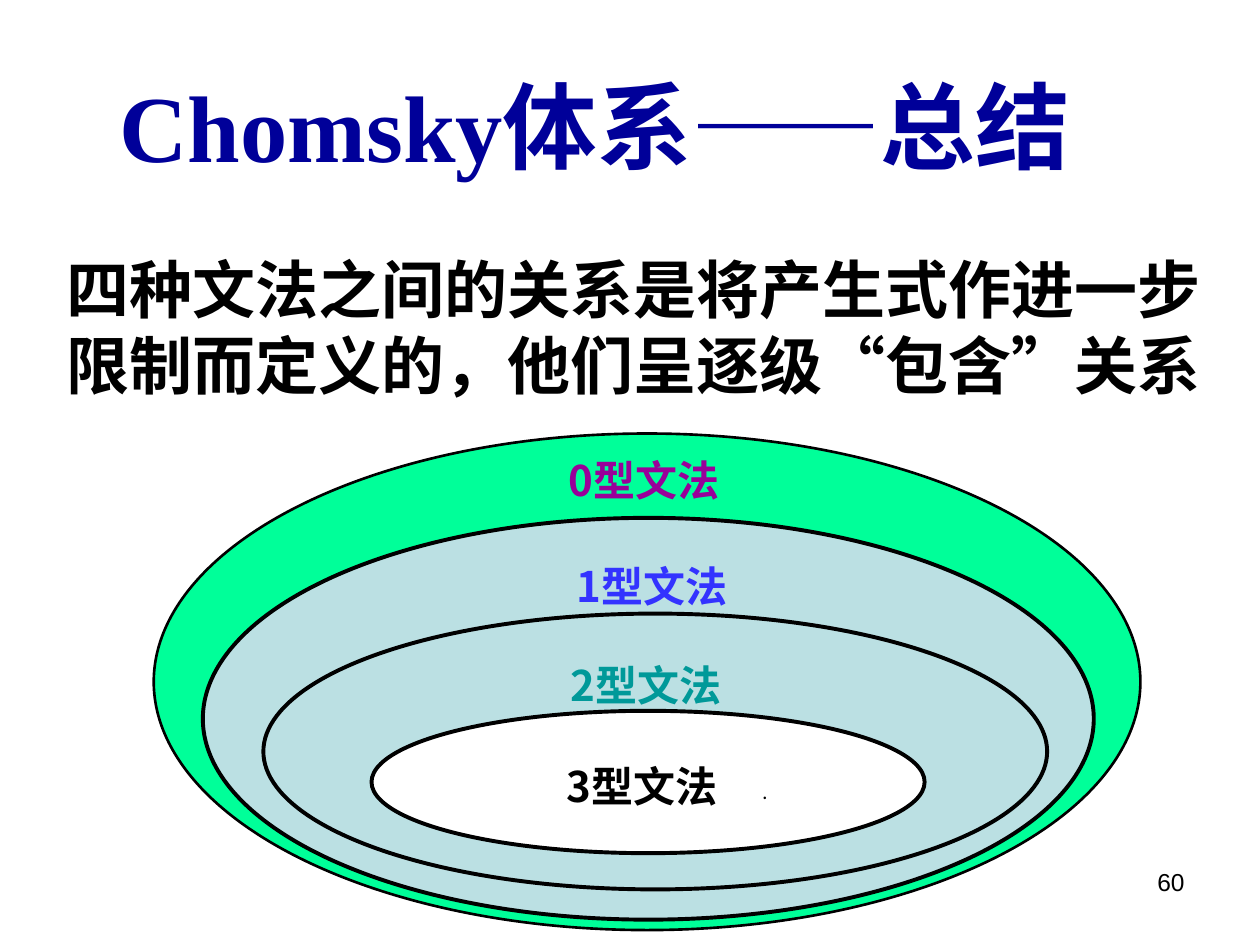
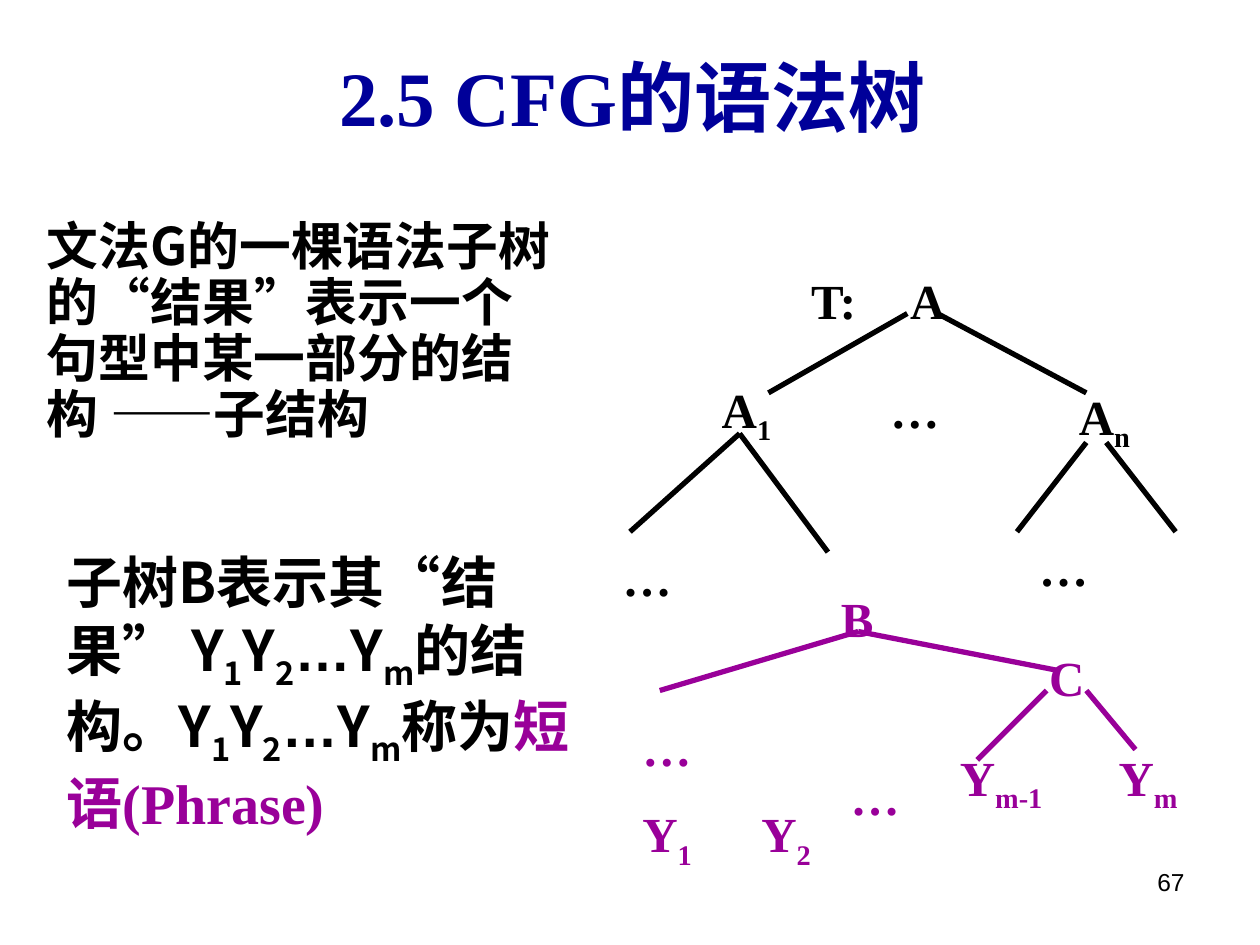
from dataclasses import dataclass
from itertools import groupby
from typing import Any, Dict, List, Optional

from lxml.etree import SubElement
from pptx import Presentation
from pptx.dml.color import RGBColor
from pptx.enum.shapes import MSO_CONNECTOR as Connector, MSO_SHAPE as Shape
from pptx.enum.text import MSO_ANCHOR as Anchor, PP_ALIGN as Align
from pptx.oxml.ns import qn
from pptx.util import Cm, Pt


# Theme: colours, fonts and type sizes
@dataclass(frozen=True)
class Theme:
    navy: str = "000099"
    black: str = "000000"
    white: str = "FFFFFF"
    purple: str = "990099"
    blue: str = "3333FF"
    teal: str = "009999"
    green: str = "00FF99"
    pale_blue: str = "BBE0E3"
    serif: str = "Times New Roman"
    cjk: str = "Noto Sans CJK JP"
    sans: str = "Arial"
    title_size: float = 54
    section_size: float = 44
    body_size: float = 36
    phrase_size: float = 32
    subtree_size: float = 29.6
    node_size: float = 28
    label_size: float = 24
    number_size: float = 14
    dot_size: float = 8


THEME = Theme()
SYMBOLS = "“”—…"


# Repeated elements, with lengths in centimetres
@dataclass(frozen=True)
class Box:
    left: float
    top: float
    width: float
    height: float


@dataclass(frozen=True)
class TextStyle:
    size: float
    font: str = THEME.serif
    color: str = THEME.black
    bold: bool = True


@dataclass(frozen=True)
class Span:
    text: str  # parts between tildes are subscripts
    style: TextStyle


@dataclass(frozen=True)
class GrammarClass:
    box: Box
    fill: str
    line_width: float
    label: str
    label_color: str
    label_center: float
    label_top: float


@dataclass(frozen=True)
class Node:
    text: str
    left: float
    top: float
    width: float = 1.6


@dataclass(frozen=True)
class Branch:
    start_x: float
    start_y: float
    end_x: float
    end_y: float


@dataclass(frozen=True)
class Tree:
    color: str
    nodes: List[Node]
    branches: List[Branch]


# Drawing functions
def apply_format(target: Any, values: Dict[str, Any]) -> None:
    for name, value in values.items():
        setattr(target, name, value)


def place(shape: Any, box: Box) -> None:
    apply_format(shape, {"left": Cm(box.left), "top": Cm(box.top),
                         "width": Cm(box.width), "height": Cm(box.height)})


def add_run(paragraph: Any, text: str, style: TextStyle, font_name: str, subscript: bool) -> None:
    run = paragraph.add_run()
    run.text = text
    apply_format(run.font, {"size": Pt(style.size), "bold": style.bold, "name": font_name})
    run.font.color.rgb = RGBColor.from_string(style.color)
    properties = run._r.get_or_add_rPr()
    SubElement(properties, qn("a:ea")).set("typeface", THEME.cjk)
    if subscript:
        properties.set("baseline", "-25000")


def add_span(paragraph: Any, span: Span) -> None:
    for index, part in enumerate(span.text.split("~")):
        # Quotes, dashes and ellipses among CJK text use the sans font
        for is_symbol, letters in groupby(part, lambda letter: letter in SYMBOLS):
            mixed = is_symbol and span.style.font == THEME.cjk
            font_name = THEME.sans if mixed else span.style.font
            add_run(paragraph, "".join(letters), span.style, font_name, index % 2 == 1)


def add_text(slide: Any, box: Box, spans: List[Span], align: Align = Align.LEFT,
             line_spacing: Optional[float] = None) -> None:
    shape = slide.shapes.add_textbox(0, 0, 0, 0)
    place(shape, box)
    shape.text_frame.word_wrap = True
    paragraph = shape.text_frame.paragraphs[0]
    apply_format(paragraph, {"alignment": align, "line_spacing": line_spacing})
    for span in spans:
        add_span(paragraph, span)


def add_titled_slide(presentation: Any, title: str, size: float, box: Box,
                     anchor: Anchor, number: str) -> Any:
    slide = presentation.slides.add_slide(presentation.slide_layouts[5])
    shape = slide.shapes.title
    place(shape, box)
    apply_format(shape.text_frame, {"vertical_anchor": anchor, "word_wrap": True})
    paragraph = shape.text_frame.paragraphs[0]
    paragraph.alignment = Align.CENTER
    add_span(paragraph, Span(title, TextStyle(size, color=THEME.navy)))
    number_style = TextStyle(THEME.number_size, THEME.sans, bold=False)
    add_text(slide, Box(18.21, 17.35, 5.92, 1.32), [Span(number, number_style)], Align.RIGHT)
    return slide


def add_label(slide: Any, text: str, center: float, top: float, size: float, color: str) -> None:
    width = 5.8
    style = TextStyle(size, THEME.cjk, color)
    add_text(slide, Box(center - width / 2, top, width, 1.27), [Span(text, style)], Align.CENTER)


def add_grammar_class(slide: Any, grammar: GrammarClass) -> None:
    shape = slide.shapes.add_shape(Shape.OVAL, 0, 0, 0, 0)
    place(shape, grammar.box)
    shape.shadow.inherit = False
    shape.fill.solid()
    shape.fill.fore_color.rgb = RGBColor.from_string(grammar.fill)
    shape.line.color.rgb = RGBColor.from_string(THEME.black)
    shape.line.width = Pt(grammar.line_width)
    add_label(slide, grammar.label, grammar.label_center, grammar.label_top,
              THEME.label_size, grammar.label_color)


def add_branch(slide: Any, branch: Branch, color: str) -> None:
    connector = slide.shapes.add_connector(
        Connector.STRAIGHT, Cm(branch.start_x), Cm(branch.start_y),
        Cm(branch.end_x), Cm(branch.end_y))
    connector.line.color.rgb = RGBColor.from_string(color)
    connector.line.width = Pt(3)
    SubElement(connector._element.spPr, qn("a:effectLst"))


def add_tree(slide: Any, tree: Tree) -> None:
    style = TextStyle(THEME.node_size, color=tree.color)
    for node in tree.nodes:
        add_text(slide, Box(node.left, node.top, node.width, 1.5), [Span(node.text, style)])
    for branch in tree.branches:
        add_branch(slide, branch, tree.color)


# Content: nested grammar classes and syntax trees
GRAMMARS = [
    GrammarClass(Box(3.1, 8.74, 19.89, 10.01), THEME.green, 1.5,
                 "0型文法", THEME.purple, 12.99, 9.04),
    GrammarClass(Box(4.09, 10.44, 17.96, 8.1), THEME.pale_blue, 2.25,
                 "1型文法", THEME.blue, 13.14, 11.18),
    GrammarClass(Box(5.31, 12.37, 15.8, 5.56), THEME.pale_blue, 2.25,
                 "2型文法", THEME.teal, 13.03, 13.18),
    GrammarClass(Box(7.49, 14.33, 11.15, 2.87), THEME.white, 2.25,
                 "3型文法", THEME.black, 12.95, 15.21),
]

MAIN_TREE = Tree(
    THEME.black,
    [Node("A", 18.1, 5.33), Node("T:", 16.1, 5.33), Node("…", 17.7, 7.52),
     Node("A~1~", 14.3, 7.52), Node("A~n~", 21.5, 7.67, 2),
     Node("…", 12.3, 10.92), Node("…", 20.7, 10.72)],
    [Branch(18.29, 6.32, 15.49, 7.92), Branch(18.9, 6.32, 21.9, 7.92),
     Branch(14.91, 8.74, 12.7, 10.72), Branch(14.91, 8.74, 16.69, 11.13),
     Branch(21.9, 8.92, 20.5, 10.72), Branch(22.3, 8.92, 23.7, 10.72)])

SUBTREE = Tree(
    THEME.purple,
    [Node("B", 16.7, 11.73), Node("Y~1~", 12.7, 16.08, 1.8), Node("Y~2~", 15.1, 16.08),
     Node("…", 16.9, 15.32), Node("Y~m-1~", 19.1, 14.94, 2.8), Node("C", 20.9, 12.93),
     Node("Y~m~", 22.3, 14.94, 2.6), Node("…", 12.7, 14.33)],
    [Branch(21.1, 13.92, 19.7, 15.32), Branch(21.9, 13.92, 22.89, 15.11),
     Branch(17.3, 12.73, 21.3, 13.51), Branch(17.3, 12.73, 13.3, 13.92)])


# Slides
def build_hierarchy_slide(presentation: Any) -> None:
    slide = add_titled_slide(presentation, "Chomsky体系——总结", THEME.title_size,
                             Box(1.27, 1.63, 21.44, 2.16), Anchor.BOTTOM, "60")
    relation = "四种文法之间的关系是将产生式作进一步限制而定义的，他们呈逐级“包含”关系"
    add_text(slide, Box(1.09, 4.93, 23.77, 3.96), [Span(relation, TextStyle(THEME.body_size))])
    for grammar in GRAMMARS:
        add_grammar_class(slide, grammar)
    add_label(slide, ".", 15.42, 15.72, THEME.dot_size, THEME.black)


def build_syntax_tree_slide(presentation: Any) -> None:
    slide = add_titled_slide(presentation, "2.5 CFG的语法树", THEME.section_size,
                             Box(0.89, 0.71, 23.72, 2.44), Anchor.MIDDLE, "67")
    subtree_text = "文法G的一棵语法子树的“结果”表示一个句型中某一部分的结构 ——子结构"
    add_text(slide, Box(0.69, 4.32, 10.67, 6.2),
             [Span(subtree_text, TextStyle(THEME.subtree_size, THEME.cjk))], line_spacing=0.9)
    for tree in (MAIN_TREE, SUBTREE):
        add_tree(slide, tree)
    phrase_text = "子树B表示其“结果” Y~1~Y~2~…Y~m~的结构。Y~1~Y~2~…Y~m~称为"
    add_text(slide, Box(1.09, 10.92, 10.67, 6.2),
             [Span(phrase_text, TextStyle(THEME.phrase_size, THEME.cjk)),
              Span("短语(Phrase)", TextStyle(THEME.phrase_size, color=THEME.purple))])


def main() -> None:
    presentation = Presentation()
    apply_format(presentation, {"slide_width": Cm(25.4), "slide_height": Cm(19.05)})
    build_hierarchy_slide(presentation)
    build_syntax_tree_slide(presentation)
    presentation.save("out.pptx")


if __name__ == "__main__":
    main()
